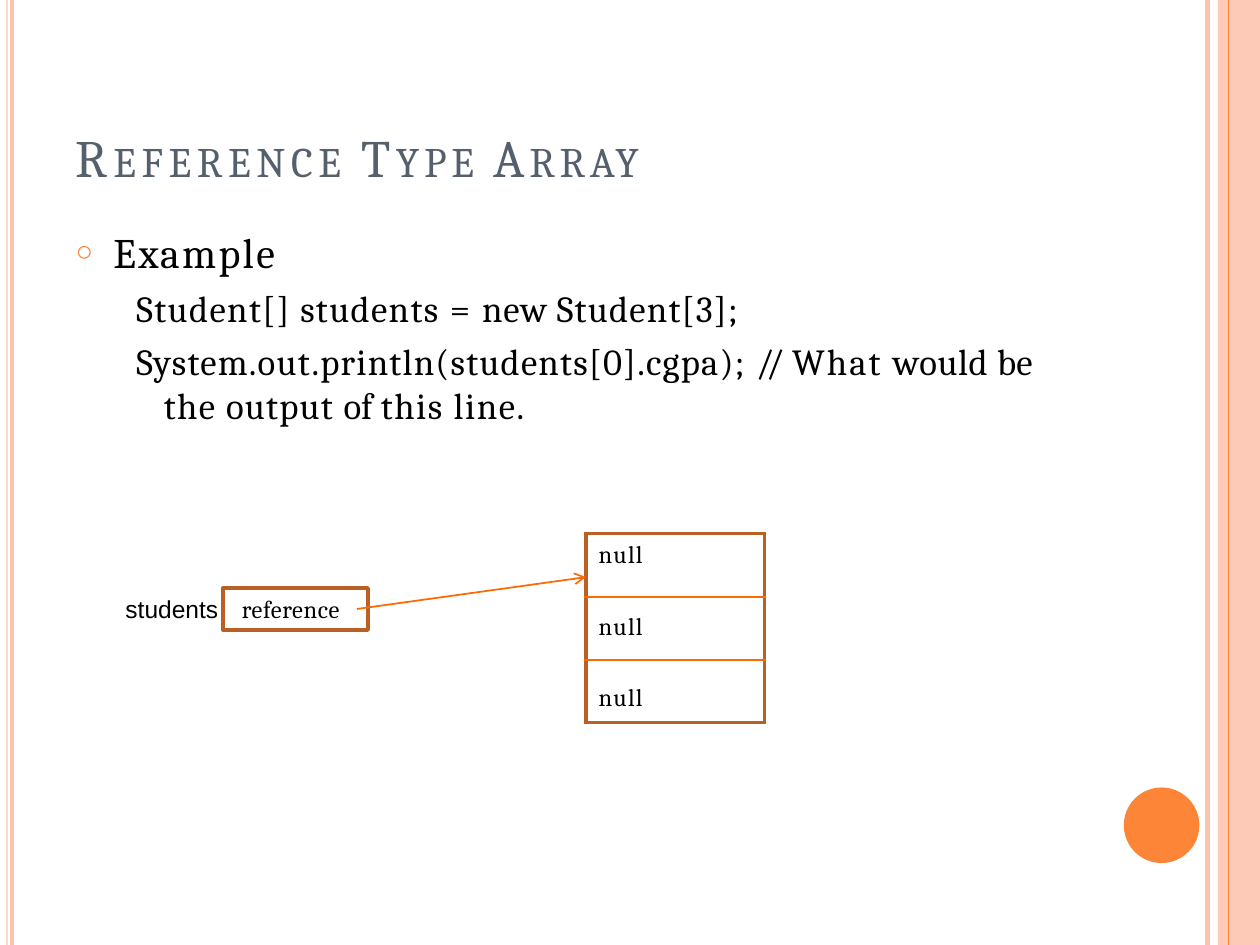
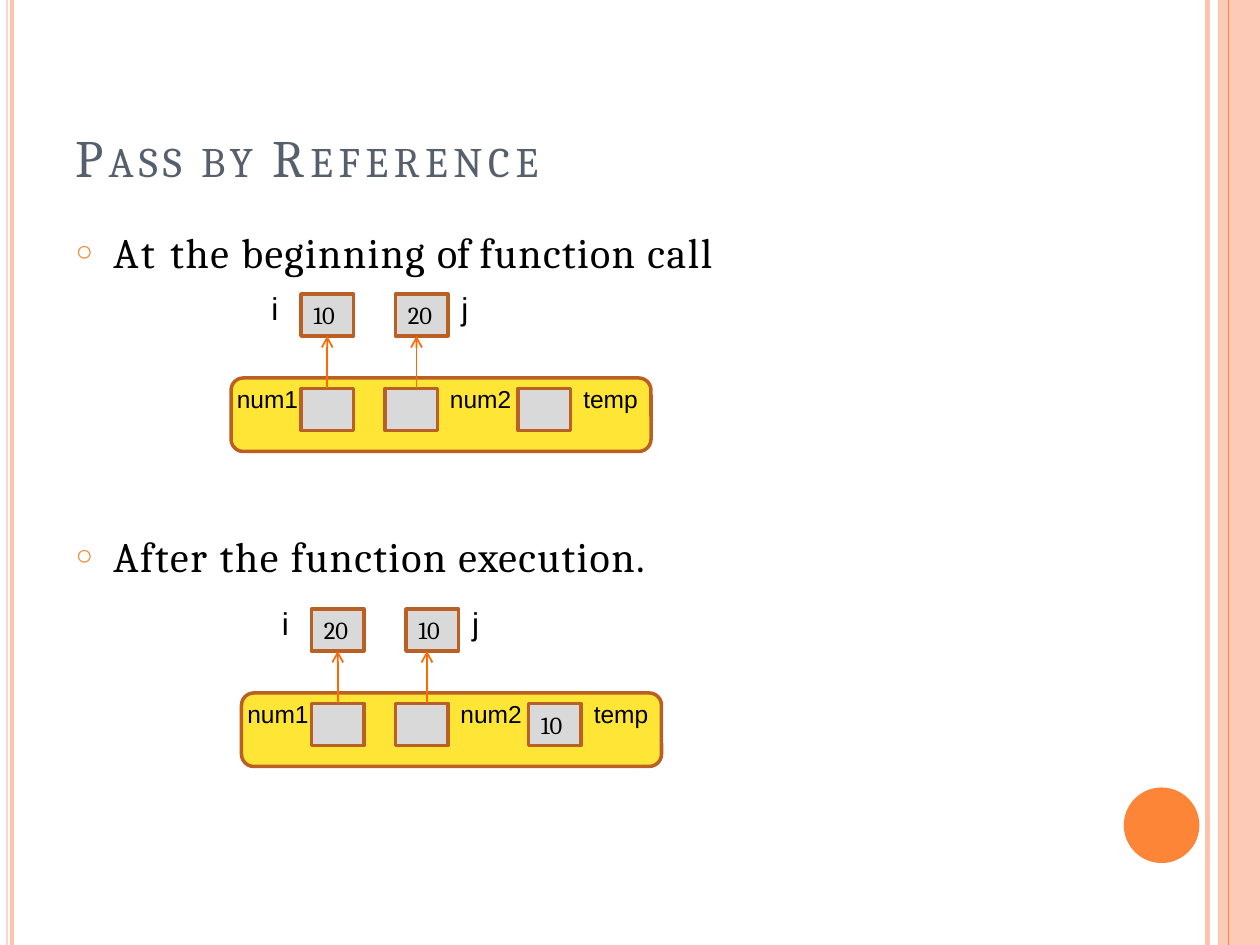
from dataclasses import dataclass
from itertools import groupby

from lxml import etree
from pptx import Presentation
from pptx.dml.color import RGBColor
from pptx.enum import shapes, text
from pptx.oxml import ns
from pptx.util import Pt


@dataclass(frozen=True)
class Theme:
    serif: str = "Cambria"
    sans: str = "Arial"
    title: str = "565F6C"
    ink: str = "000000"
    accent: str = "FD8537"
    band: str = "FDC3AD"
    edge: str = "BA6025"
    arrow: str = "FF6903"
    panel: str = "FFE636"
    cell: str = "D9D9D9"
    cap: float = 30
    low: float = 24
    lead: float = 24
    code: float = 21
    name: float = 18
    small: float = 14


THEME = Theme()
FORM = shapes.MSO_SHAPE


@dataclass(frozen=True)
class Run:
    text: str
    gap: float = 0  # letter spacing
    size: float = THEME.small
    face: str = THEME.serif
    tint: str = THEME.ink


@dataclass(frozen=True)
class Par:
    runs: list[Run]
    left: float = 0
    hang: float = 0
    above: float = 0
    dot: bool = False


@dataclass(frozen=True)
class Box:
    x: float
    y: float
    w: float
    h: float
    form: FORM = FORM.RECTANGLE
    fill: str = ""
    line: str = ""
    alpha: int = 100


DECOR = [
    Box(642.2, 450, 43.2, 43.2, FORM.OVAL, THEME.accent),
    Box(3.75, 0, 0.75, 540, fill=THEME.band),
    Box(5.75, 0, 2.25, 540, fill=THEME.band),
    Box(696, 0, 24, 540, fill=THEME.band, alpha=87),
]


def put(item, **vals) -> None:
    for key, val in vals.items():
        setattr(item, key, val)


def node(root, tag: str, **vals):
    kid = etree.SubElement(root, ns.qn(tag))
    for key, val in vals.items():
        kid.set(key, str(val))
    return kid


def tint(root, hue: str):
    return node(root, "a:srgbClr", val=hue)


def write(frame, pars: list[Par], left: float = 0, top: float = 1) -> None:
    put(frame, word_wrap=True, vertical_anchor=text.MSO_ANCHOR.TOP,
        margin_left=Pt(left), margin_top=Pt(top),
        margin_right=0, margin_bottom=0)
    for i, par in enumerate(pars):
        line = frame.add_paragraph() if i else frame.paragraphs[0]
        line.alignment = text.PP_ALIGN.LEFT
        if i:
            line.space_before = Pt(par.above)
        props = line._p.get_or_add_pPr()
        props.set("marL", str(Pt(par.left)))
        props.set("indent", str(Pt(par.hang)))
        if par.dot:
            tint(node(props, "a:buClr"), THEME.accent)
            node(props, "a:buSzPct", val=69000)
            node(props, "a:buFont", typeface=THEME.sans)
            node(props, "a:buChar", char="○")
        for run in par.runs:
            part = line.add_run()
            put(part, text=run.text)
            put(part.font, size=Pt(run.size), name=run.face)
            part.font.color.rgb = RGBColor.from_string(run.tint)
            if run.gap:
                part._r.get_or_add_rPr().set("spc", str(round(run.gap * 100)))


def label(slide, x: float, y: float, w: float, h: float, *pars: Par) -> None:
    area = slide.shapes.add_textbox(Pt(x), Pt(y), Pt(w), Pt(h))
    write(area.text_frame, list(pars))


def draw(slide, box: Box, word: str = "", left: float = 7.2,
         gap: float = 0) -> None:
    shape = slide.shapes.add_shape(
        box.form, Pt(box.x), Pt(box.y), Pt(box.w), Pt(box.h))
    shape.shadow.inherit = False
    if box.fill:
        shape.fill.solid()
        shape.fill.fore_color.rgb = RGBColor.from_string(box.fill)
        if box.alpha < 100:
            hue = shape._element.spPr.find(".//" + ns.qn("a:srgbClr"))
            node(hue, "a:alpha", val=box.alpha * 1000)
    else:
        shape.fill.background()
    if box.line:
        shape.line.color.rgb = RGBColor.from_string(box.line)
        shape.line.width = Pt(2)
    else:
        shape.line.fill.background()
    if word:
        write(shape.text_frame, [Par([Run(word, gap)])], left, 3.5)


def link(slide, x1: float, y1: float, x2: float, y2: float,
         hue: str = THEME.arrow, width: float = 1, head: bool = True) -> None:
    wire = slide.shapes.add_connector(
        shapes.MSO_CONNECTOR.STRAIGHT, Pt(x1), Pt(y1), Pt(x2), Pt(y2))
    wire.line.color.rgb = RGBColor.from_string(hue)
    wire.line.width = Pt(width)
    if head:
        node(wire.line._ln, "a:tailEnd", type="arrow", w="med", len="med")
    node(wire._element.spPr, "a:effectLst")


def caps(word: str, gap: float) -> list[Run]:
    """Small capitals: capitals stay large, the rest is set smaller."""
    return [Run("".join(part).upper(), gap, THEME.cap if big else THEME.low,
                tint=THEME.title)
            for big, part in groupby(word, str.isupper)]


def page(deck, *title: tuple[str, float]):
    slide = deck.slides.add_slide(deck.slide_layouts[6])
    link(slide, 690, 0, 690, 540, THEME.band, 3, False)
    for box in DECOR:
        draw(slide, box)
    link(slide, 702, 0, 702, 540, THEME.accent, 0.75, False)
    runs = [run for word, gap in title for run in caps(word, gap)]
    label(slide, 42.5, 70.6, 500, 38, Par(runs, left=0.7))
    return slide


def spaced(size: float, *parts: tuple[str, float]) -> list[Run]:
    return [Run(word, gap, size) for word, gap in parts]


def point(*parts: tuple[str, float]) -> Par:
    return Par(spaced(THEME.lead, *parts), 22.3, -21.6, dot=True)


def plain(word: str, size: float = THEME.small) -> Par:
    return Par([Run(word, size=size, face=THEME.sans)], 0.7)


def nulls(slide, x: float, y: float, count: int) -> None:
    """Draw the array as a one-column table of null cells."""
    grid = slide.shapes.add_table(
        count, 1, Pt(x), Pt(y), Pt(102.2), Pt(36 * count)).table
    put(grid, first_row=False, horz_banding=False)
    for i in range(count):
        cell = grid.cell(i, 0)
        props = cell._tc.get_or_add_tcPr()
        rim, rule = (THEME.edge, 2.25), (THEME.arrow, 1)
        sides = {"L": rim, "R": rim, "T": rule if i else rim,
                 "B": rule if i < count - 1 else rim}
        for side, (hue, width) in sides.items():
            edge = node(props, f"a:ln{side}", w=Pt(width))
            tint(node(edge, "a:solidFill"), hue)
        cell.fill.background()
        write(cell.text_frame, [Par([Run("null", 0.7)], 7.2)])
        put(cell, margin_left=0, margin_right=0, margin_bottom=0,
            margin_top=Pt(4.5 + 4.8 * i))


def calls(slide, x: float, y: float, first: str, second: str,
          temp: str = "") -> None:
    """Draw the variables above the frame of the called function."""
    def slot(dx: float, dy: float, word: str = "") -> None:
        draw(slide, Box(x + dx, y + dy, 30, 24, fill=THEME.cell,
                        line=THEME.edge), word)

    slot(40, -48, first)
    slot(94, -48, second)
    for dx, word in (22.4, "i"), (131, "j"):
        label(slide, x + dx, y - 52, 12, 24, plain(word, THEME.name))
    draw(slide, Box(x, y, 240, 42, FORM.ROUNDED_RECTANGLE,
                    THEME.panel, THEME.edge))
    for dx, word in (40, ""), (88, ""), (164, temp):
        slot(dx, 6, word)
    for dx, word in (2.6, "num1"), (124.4, "num2"), (200.6, "temp"):
        label(slide, x + dx, y + 2.2, 38, 19, plain(word))
    for dx in 55, 106:
        link(slide, x + dx, y + 6, x + dx, y - 24)


def array(deck) -> None:
    slide = page(deck, ("Reference ", 3.2), ("Type ", 2.8), ("Array", 2.6))
    label(
        slide, 42.5, 128.5, 569, 117,
        point(("Example", 1.3)),
        Par(spaced(THEME.code, ("Student[] students ", 0.8), ("= ", 1.1),
                   ("new ", 0.5), ("Student[3];", 0.7)), 35.5, above=5),
        Par(spaced(THEME.code,
                   ("System.out.println(students[0].cgpa); ", 0.7),
                   ("//", -4.5), (" ", -1.5), ("What ", 1.2),
                   ("would ", 0.3), ("be ", 0.1), ("the ", 0.8),
                   ("output ", 0.7), ("of ", 0), ("this line.", 0.9)),
            51.2, -15.8, above=5))
    draw(slide, Box(127.4, 336, 83, 24, line=THEME.edge),
         "reference", 10.8, 0.3)
    label(slide, 71, 338.4, 56, 19, plain("students"))
    nulls(slide, 334.8, 305, 3)
    link(slide, 204, 348, 334.8, 329.8)


def swap(deck) -> None:
    slide = page(deck, ("Pass by ", 2.9), ("Reference", 3.2))
    label(slide, 42.5, 128.5, 400, 31, point(
        ("At ", 1.8), ("the ", 0.9), ("beginning ", 0.8), ("of ", 0),
        ("function ", 0.8), ("call", 0.9)))
    label(slide, 42.5, 302.2, 400, 31, point(
        ("After ", 1), ("the ", 0.9), ("function execution.", 0.8)))
    calls(slide, 132, 216, "10", "20")
    calls(slide, 138, 396, "20", "10", "10")


def main() -> None:
    deck = Presentation()
    put(deck, slide_width=Pt(720), slide_height=Pt(540))
    array(deck)
    swap(deck)
    deck.save("out.pptx")


if __name__ == "__main__":
    main()
